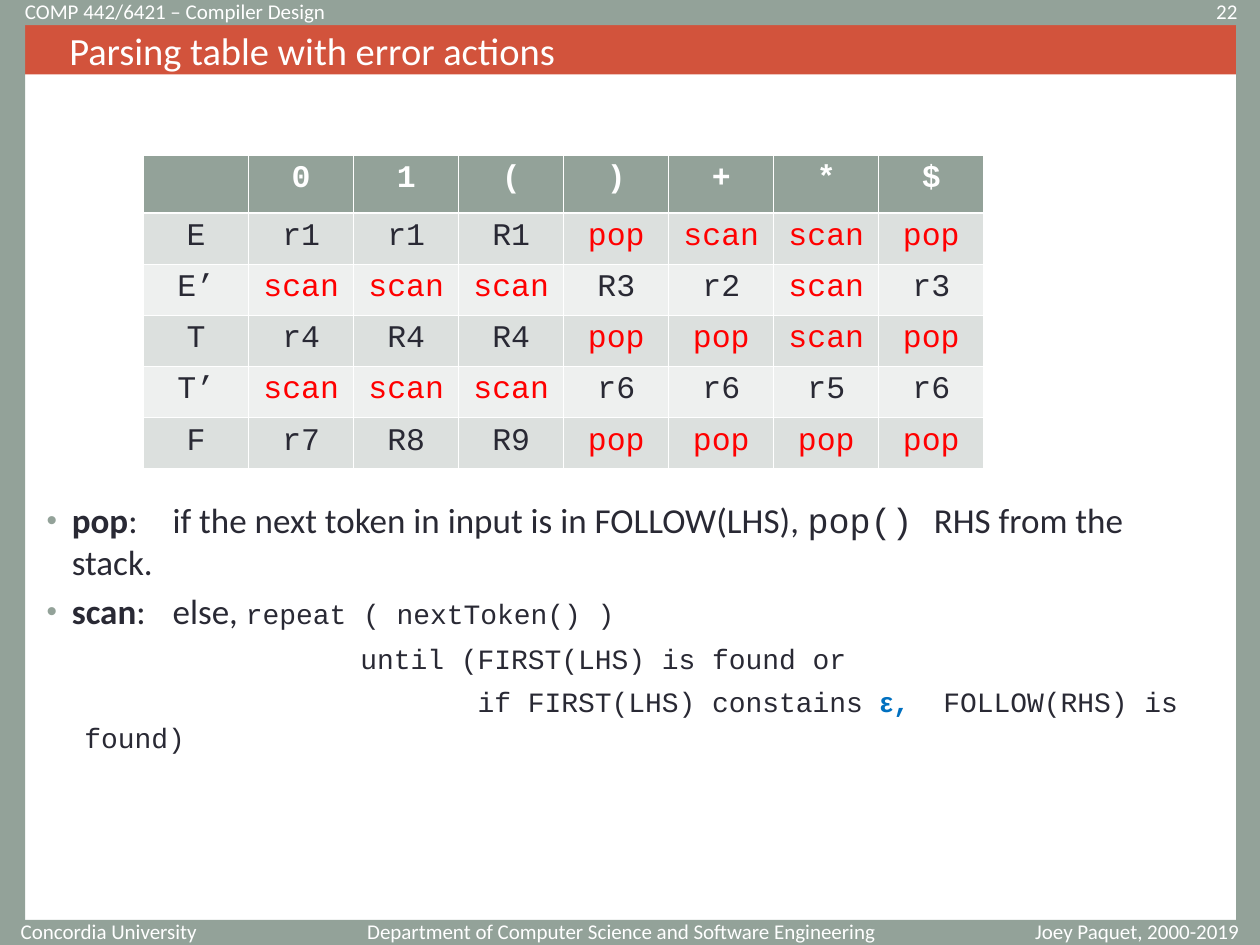
"""Build the slide on a parsing table with error actions."""
import lxml.etree
import pptx
import pptx.dml.color
import pptx.enum.shapes
import pptx.enum.text
import pptx.oxml.ns
import pptx.util

Inches, Pt = pptx.util.Inches, pptx.util.Pt
ALIGN = pptx.enum.text.PP_ALIGN
MIDDLE = pptx.enum.text.MSO_ANCHOR.MIDDLE
SANS, MONO = "Calibri", "Courier New"
COLORS = {"frame": "93A299", "title": "D2533C", "text": "292934", "white": "FFFFFF",
          "error": "FF0000", "epsilon": "0070C0", "odd": "DCE0DE", "even": "EEF0EF"}

HEADING = "Parsing table with error actions"
FRAME = [(0, 0, 10, 0.2), (0, 7.3, 10, 0.2), (0, 0, 0.2, 7.44), (9.81, 0.18, 0.19, 7.32)]
MARGINALIA = [
    ("Concordia University ", (0.03, 7.33, 1.67, 0.12), ALIGN.RIGHT),
    ("Department of Computer Science and Software Engineering",
     (2.8, 7.33, 4.25, 0.12), ALIGN.RIGHT),
    ("Joey Paquet, 2000-2019", (7.99, 7.33, 2.07, 0.12), ALIGN.CENTER),
    ("22", (8.75, 0.03, 1.17, 0.12), ALIGN.RIGHT),
    ("COMP 442/6421 – Compiler Design", (0.1, 0.03, 5.6, 0.12), ALIGN.LEFT),
]
PARSING_TABLE = [
    ["", "0", "1", "(", ")", "+", "*", "$"],
    ["E", "r1", "r1", "R1", "pop", "scan", "scan", "pop"],
    ["E’", "scan", "scan", "scan", "R3", "r2", "scan", "r3"],
    ["T", "r4", "R4", "R4", "pop", "pop", "scan", "pop"],
    ["T’", "scan", "scan", "scan", "r6", "r6", "r5", "r6"],
    ["F", "r7", "R8", "R9", "pop", "pop", "pop", "pop"],
]
TABLE_AT = (1.14, 1.23)
COLUMN_WIDTH, HEADER_HEIGHT, ROWS_HEIGHT = 6.67 / 8, 0.46, 2.03
ACTIONS = [
    {"level": 0, "margin": 0.2, "indent": -0.2, "before": 0, "runs": [
        ("pop", SANS, 20, "text", True),
        (": \tif the next token in input is in FOLLOW(LHS), ", SANS, 20, "text", False),
        ("pop() ", MONO, 20, "text", False),
        ("RHS from the stack.", SANS, 20, "text", False)]},
    {"level": 0, "margin": 0.2, "indent": -0.2, "before": 4, "runs": [
        ("scan", SANS, 20, "text", True),
        (": \telse, ", SANS, 20, "text", False),
        ("repeat ( nextToken() )", MONO, 16, "text", False)]},
    {"level": 1, "margin": 0.3, "indent": 2.19, "before": 4, "runs": [
        ("until (FIRST(LHS) is found or", MONO, 16, "text", False)]},
    {"level": 1, "margin": 0.3, "indent": 3.12, "before": 4, "runs": [
        ("if FIRST(LHS) constains ", MONO, 16, "text", False),
        ("ε", "Arial", 16, "epsilon", True),
        (",  ", MONO, 16, "epsilon", True),
        ("FOLLOW(RHS) is found)", MONO, 16, "text", False)]},
]


def rgb(color):
    return pptx.dml.color.RGBColor.from_string(COLORS[color])


def paint(target, color):
    target.fill.solid()
    target.fill.fore_color.rgb = rgb(color)


def place(shape, box):
    shape.left, shape.top, shape.width, shape.height = map(Inches, box)


def add_run(paragraph, text, font, size, color, bold=False):
    run = paragraph.add_run()
    run.text = text
    run.font.name, run.font.size, run.font.bold = font, Pt(size), bold
    run.font.color.rgb = rgb(color)


def add_xml(parent, tag, **attributes):
    child = lxml.etree.SubElement(parent, pptx.oxml.ns.qn(tag))
    for key, value in attributes.items():
        child.set(key, str(value))
    return child


def set_indent(paragraph, margin, indent):
    properties = paragraph._p.get_or_add_pPr()
    properties.set("marL", str(Inches(margin)))
    properties.set("indent", str(Inches(indent)))
    return properties


def add_frame(slide):
    for box in FRAME:
        bar = slide.shapes.add_shape(pptx.enum.shapes.MSO_SHAPE.RECTANGLE, *map(Inches, box))
        bar.shadow.inherit = False
        paint(bar, "frame")
        bar.line.fill.background()


def add_marginalia(slide):
    for text, box, alignment in MARGINALIA:
        frame = slide.shapes.add_textbox(*map(Inches, box)).text_frame
        frame.word_wrap = True
        frame.vertical_anchor = MIDDLE
        frame.paragraphs[0].alignment = alignment
        add_run(frame.paragraphs[0], text, SANS, 12, "white")


def fill_title(title):
    place(title, (0.2, 0.2, 9.62, 0.39))
    paint(title, "title")
    frame = title.text_frame
    frame.auto_size = pptx.enum.text.MSO_AUTO_SIZE.NONE
    frame.vertical_anchor = MIDDLE
    paragraph = frame.paragraphs[0]
    paragraph.alignment = ALIGN.LEFT
    set_indent(paragraph, 0.25, 0)
    add_run(paragraph, HEADING, SANS, 22, "white")


def fill_actions(body):
    place(body, (0.27, 3.91, 9.45, 3.31))
    frame = body.text_frame
    frame.auto_size = pptx.enum.text.MSO_AUTO_SIZE.NONE
    for index, action in enumerate(ACTIONS):
        paragraph = frame.add_paragraph() if index else frame.paragraphs[0]
        paragraph.level = action["level"]
        paragraph.space_before = Pt(action["before"])
        properties = set_indent(paragraph, action["margin"], action["indent"])
        if action["level"]:
            paragraph.line_spacing = 1.07
            add_xml(properties, "a:buNone")
        else:
            add_xml(add_xml(properties, "a:buClr"), "a:srgbClr", val=COLORS["frame"])
            add_xml(properties, "a:buSzPct", val=85000)
            add_xml(properties, "a:buFont", typeface="Arial")
            add_xml(properties, "a:buChar", char="•")
            add_xml(add_xml(properties, "a:tabLst"), "a:tab", pos=Inches(1), algn="l")
        for run in action["runs"]:
            add_run(paragraph, *run)


def add_borders(cell, row):
    widths = {"L": 0.45, "R": 0.45, "T": 1.47 if row == 1 else 0.45,
              "B": 1.47 if row == 0 else 0.45}
    for side, width in widths.items():
        line = add_xml(cell._tc.get_or_add_tcPr(), f"a:ln{side}", w=Pt(width))
        add_xml(add_xml(line, "a:solidFill"), "a:srgbClr", val=COLORS["white"])


def add_parsing_table(slide):
    rows, columns = len(PARSING_TABLE), len(PARSING_TABLE[0])
    size = (COLUMN_WIDTH * columns, HEADER_HEIGHT + ROWS_HEIGHT)
    table = slide.shapes.add_table(rows, columns, *map(Inches, TABLE_AT + size)).table
    for column in table.columns:
        column.width = Inches(COLUMN_WIDTH)
    for row, entries in enumerate(PARSING_TABLE):
        height = ROWS_HEIGHT / (rows - 1) if row else HEADER_HEIGHT
        table.rows[row].height = Inches(height)
        background = ("even", "odd")[row % 2] if row else "frame"
        for column, entry in enumerate(entries):
            cell = table.cell(row, column)
            add_borders(cell, row)
            paint(cell, background)
            color = "error" if entry in ("pop", "scan") else "text" if row else "white"
            paragraph = cell.text_frame.paragraphs[0]
            paragraph.alignment = ALIGN.CENTER
            if entry:
                add_run(paragraph, entry, MONO, 18, color, row == 0)


def main():
    deck = pptx.Presentation()
    deck.slide_width, deck.slide_height = Inches(10), Inches(7.5)
    slide = deck.slides.add_slide(deck.slide_layouts[1])
    add_frame(slide)
    fill_title(slide.shapes.title)
    fill_actions(slide.placeholders[1])
    add_marginalia(slide)
    add_parsing_table(slide)
    deck.save("out.pptx")


if __name__ == "__main__":
    main()
